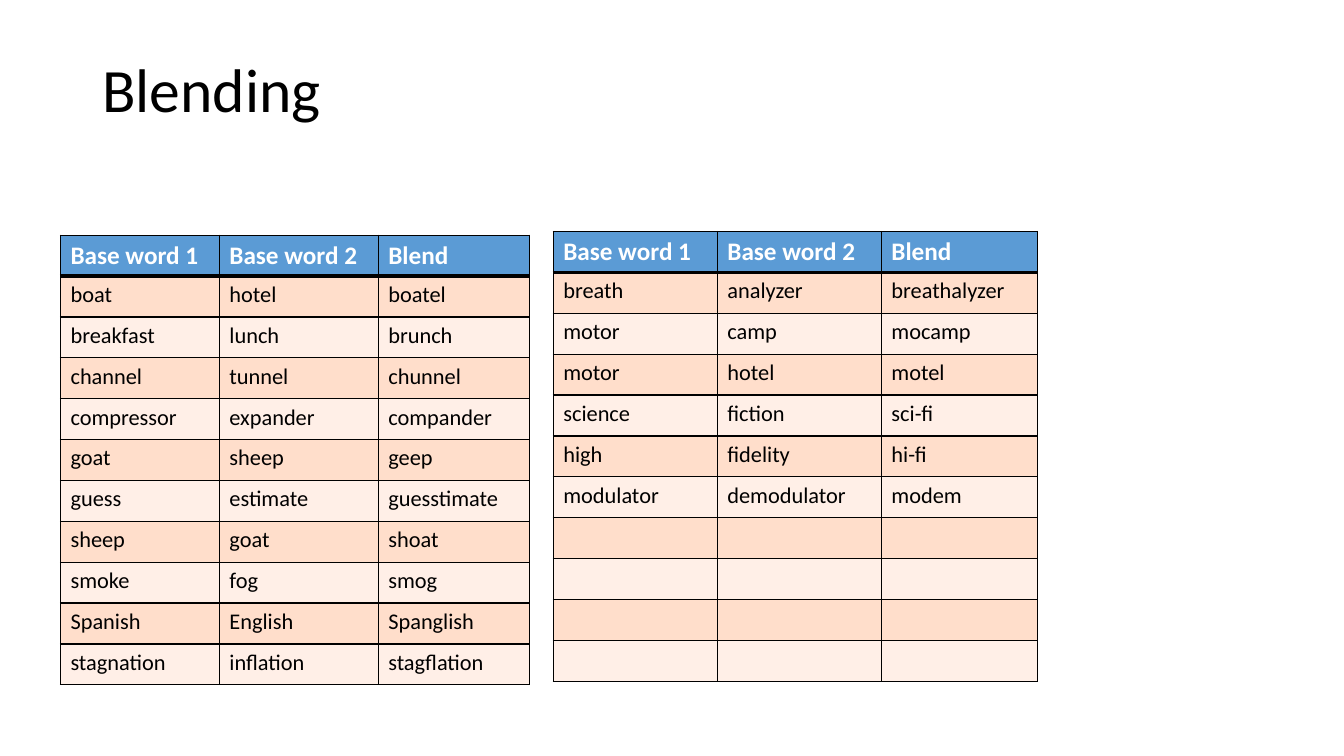
from lxml import etree
from pptx import Presentation
from pptx.dml.color import RGBColor
from pptx.enum.text import MSO_ANCHOR
from pptx.oxml.ns import qn
from pptx.util import Pt

MIDDLE = MSO_ANCHOR.MIDDLE

HEADER = ("Base word 1", "Base word 2", "Blend")
BLANK_ROW = ("", "", "")
ANIMAL_TO_ECONOMY = [
    ("boat", "hotel", "boatel"),
    ("breakfast", "lunch", "brunch"),
    ("channel", "tunnel", "chunnel"),
    ("compressor", "expander", "compander"),
    ("goat", "sheep", "geep"),
    ("guess", "estimate", "guesstimate"),
    ("sheep", "goat", "shoat"),
    ("smoke", "fog", "smog"),
    ("Spanish", "English", "Spanglish"),
    ("stagnation", "inflation", "stagflation"),
]
BREATH_TO_MODEM = [
    ("breath", "analyzer", "breathalyzer"),
    ("motor", "camp", "mocamp"),
    ("motor", "hotel", "motel"),
    ("science", "fiction", "sci-fi"),
    ("high", "fidelity", "hi-fi"),
    ("modulator", "demodulator", "modem"),
] + [BLANK_ROW] * 4


def color(value):
    return RGBColor.from_string(value)


class BlendingSlide:
    font = "Calibri"
    ink = "000000"
    header_ink = "FFFFFF"
    header_fill = "5B9BD5"
    band_fills = ("FFDECB", "FFEFE7")
    row_height = 29.2
    thin, thick = 1, 3

    def __init__(self, deck):
        self.page = deck.slides.add_slide(deck.slide_layouts[6])

    def style(self, para, size, ink, bold=False):
        for span in para.runs:
            span.font.name = self.font
            span.font.size = Pt(size)
            span.font.bold = bold
            span.font.color.rgb = color(ink)

    def title(self, text, left, top, width, height):
        box = self.page.shapes.add_textbox(Pt(left), Pt(top), Pt(width), Pt(height))
        frame = box.text_frame
        frame.word_wrap = True
        frame.vertical_anchor = MIDDLE
        frame.text = text
        para = frame.paragraphs[0]
        para.line_spacing = 0.9
        self.style(para, 44, self.ink)

    def border(self, cell, side, width):
        """Add one cell edge; side is L, R, T or B, added in that order."""
        properties = cell._tc.get_or_add_tcPr()
        line = etree.SubElement(properties, qn(f"a:ln{side}"), w=str(Pt(width)))
        fill = etree.SubElement(line, qn("a:solidFill"))
        etree.SubElement(fill, qn("a:srgbClr"), val=self.ink)

    def cell(self, cell, text, row):
        is_header = row == 0
        cell.text = text
        para = cell.text_frame.paragraphs[0]
        if is_header:
            self.style(para, 18, self.header_ink, bold=True)
        else:
            self.style(para, 16, self.ink)
        self.border(cell, "L", self.thin)
        self.border(cell, "R", self.thin)
        self.border(cell, "T", self.thick if row == 1 else self.thin)
        self.border(cell, "B", self.thick if is_header else self.thin)
        cell.fill.solid()
        band = self.band_fills[(row - 1) % 2]
        cell.fill.fore_color.rgb = color(self.header_fill if is_header else band)

    def table(self, words, left, top, column_widths):
        rows = [HEADER] + words
        table = self.page.shapes.add_table(
            len(rows), len(HEADER), Pt(left), Pt(top),
            Pt(sum(column_widths)), Pt(self.row_height * len(rows)),
        ).table
        for column, width in zip(table.columns, column_widths):
            column.width = Pt(width)
        for row, texts in enumerate(rows):
            table.rows[row].height = Pt(self.row_height)
            for column, text in enumerate(texts):
                self.cell(table.cell(row, column), text, row)


def main():
    deck = Presentation()
    deck.slide_width, deck.slide_height = Pt(960), Pt(540)
    slide = BlendingSlide(deck)
    slide.title("Blending", 66, 20.75, 695.5, 90)
    slide.table(ANIMAL_TO_ECONOMY, 43.2, 168, (113.5, 113.5, 108))
    slide.table(BREATH_TO_MODEM, 395.2, 165.4, (117.2, 117.2, 111.4))
    deck.save("out.pptx")


if __name__ == "__main__":
    main()
